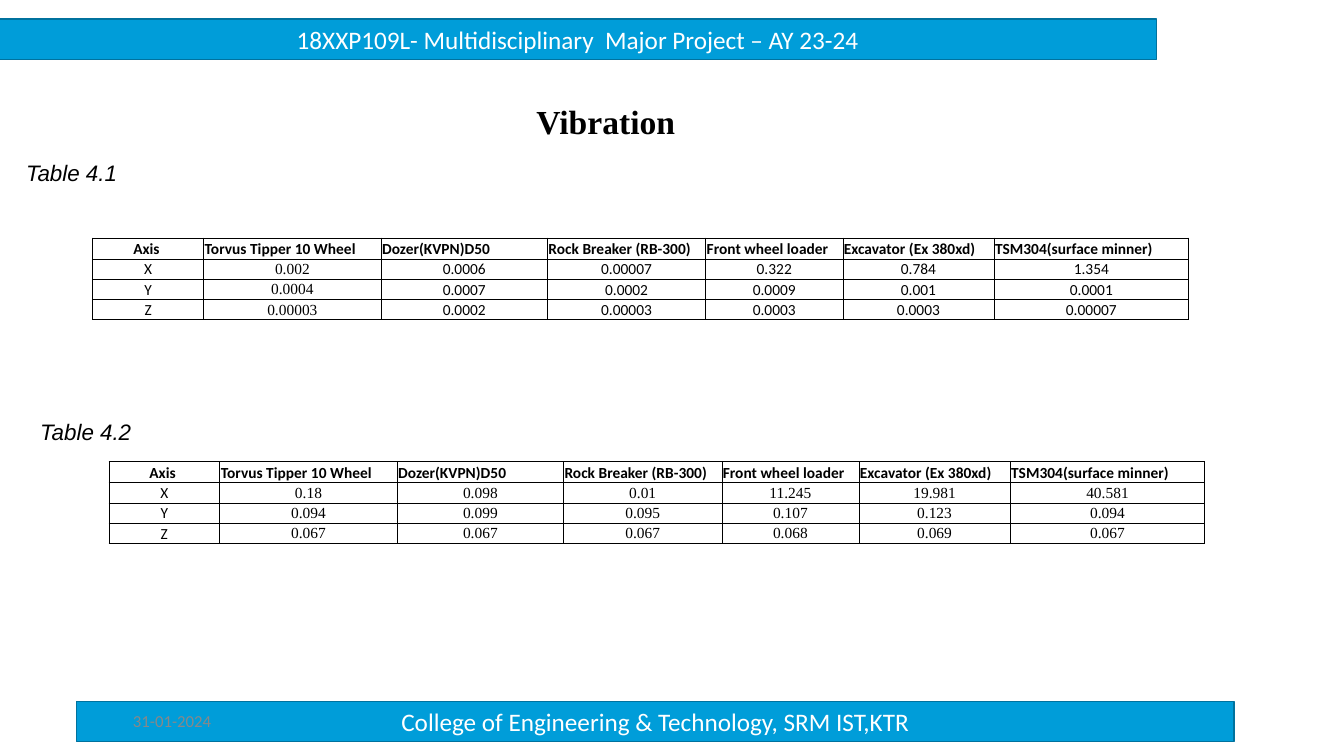
from lxml.etree import SubElement
from pptx import Presentation
from pptx.dml.color import RGBColor
from pptx.enum.shapes import MSO_SHAPE
from pptx.enum.text import MSO_ANCHOR, PP_ALIGN
from pptx.oxml.ns import qn
from pptx.util import Pt

PX = 9144  # 100 px to the inch
COLORS = {"band": "009DD9", "band_edge": "00729E", "white": "FFFFFF",
          "ink": "000000", "date": "888888"}
SERIF = "Times New Roman"
SANS = "Calibri"

MACHINES = ["Axis ", "Torvus Tipper 10 Wheel", "Dozer(KVPN)D50",
            "Rock Breaker (RB-300)", "Front wheel loader",
            "Excavator (Ex 380xd)", "TSM304(surface minner)"]
COLUMN_WIDTHS = [110, 176, 165, 157, 136, 150, 193]
ROW_HEIGHTS = [21, 20, 20, 20]
READINGS_1 = [
    ["X", "0.002", "0.0006", "0.00007", "0.322", "0.784", "1.354"],
    ["Y", "0.0004", "0.0007", "0.0002", "0.0009", "0.001", "0.0001"],
    ["Z", "0.00003", "0.0002", "0.00003", "0.0003", "0.0003", "0.00007"],
]
READINGS_2 = [
    ["X", "0.18", "0.098", "0.01", "11.245", "19.981", "40.581"],
    ["Y", "0.094", "0.099", "0.095", "0.107", "0.123", "0.094"],
    ["Z", "0.067", "0.067", "0.067", "0.068", "0.069", "0.067"],
]


def emu(box):
    return [length * PX for length in box]


def color(name):
    return RGBColor.from_string(COLORS[name])


def write(frame, words, size, face, ink="ink", align=PP_ALIGN.LEFT,
          bold=False, italic=False):
    frame.text = words
    line = frame.paragraphs[0]
    line.alignment = align
    font = line.runs[0].font
    font.size, font.name = Pt(size), face
    font.bold, font.italic = bold, italic
    font.color.rgb = color(ink)


def add_band(slide, box, words):
    band = slide.shapes.add_shape(MSO_SHAPE.RECTANGLE, *emu(box))
    band.shadow.inherit = False
    band.fill.solid()
    band.fill.fore_color.rgb = color("band")
    band.line.color.rgb = color("band_edge")
    band.line.width = Pt(1)
    band.text_frame.word_wrap = True
    band.text_frame.vertical_anchor = MSO_ANCHOR.TOP
    write(band.text_frame, words, 18, SANS, "white", PP_ALIGN.CENTER)


def add_title(slide, box, words):
    title = slide.shapes.title
    title.left, title.top, title.width, title.height = emu(box)
    title.text_frame.vertical_anchor = MSO_ANCHOR.TOP
    write(title.text_frame, words, 24, SERIF, bold=True)


def add_label(slide, box, words, size, face, ink="ink",
              anchor=MSO_ANCHOR.TOP, italic=False):
    frame = slide.shapes.add_textbox(*emu(box)).text_frame
    frame.word_wrap = True
    frame.vertical_anchor = anchor
    write(frame, words, size, face, ink, italic=italic)


def border_cell(cell):
    properties = cell._tc.get_or_add_tcPr()
    for side in ("a:lnL", "a:lnR", "a:lnT", "a:lnB"):
        edge = SubElement(properties, qn(side), w=str(Pt(0.5)))
        fill = SubElement(edge, qn("a:solidFill"))
        SubElement(fill, qn("a:srgbClr"), val=COLORS["ink"])


def add_readings(slide, left, top, readings, serif_columns):
    rows = [MACHINES] + readings
    box = left, top, sum(COLUMN_WIDTHS), sum(ROW_HEIGHTS)
    table = slide.shapes.add_table(len(rows), len(MACHINES), *emu(box)).table
    table.horz_banding = False
    for column, width in zip(table.columns, COLUMN_WIDTHS):
        column.width = width * PX
    for row, height in zip(table.rows, ROW_HEIGHTS):
        row.height = height * PX

    for r, values in enumerate(rows):
        for c, value in enumerate(values):
            cell = table.cell(r, c)
            border_cell(cell)
            cell.fill.background()
            cell.margin_left = cell.margin_right = cell.margin_top = PX
            cell.margin_bottom = 0
            header = r == 0
            cell.vertical_anchor = (MSO_ANCHOR.BOTTOM if header or c == 0
                                    else MSO_ANCHOR.MIDDLE)
            face = SERIF if not header and c in serif_columns else SANS
            align = PP_ALIGN.LEFT if header and c else PP_ALIGN.CENTER
            write(cell.text_frame, value, 11, face, align=align, bold=header)


def build_vibration_slide(deck):
    slide = deck.slides.add_slide(deck.slide_layouts[5])

    # Header and footer bands
    add_band(slide, (76, 696, 1148, 40),
             "College of Engineering & Technology, SRM IST,KTR")
    add_band(slide, (-1, 19, 1148, 40),
             "18XXP109L- Multidisciplinary  Major Project – AY 23-24")
    add_label(slide, (122, 695, 400, 40), "31-01-2024", 12, SANS, "date",
              MSO_ANCHOR.MIDDLE)

    # Tables: machine readings along each axis
    add_readings(slide, 92, 236, READINGS_1, serif_columns=[1])
    add_readings(slide, 108, 458, READINGS_2, serif_columns=range(1, 7))

    # Title and captions
    add_label(slide, (16, 153, 184, 37), "Table 4.1", 16, "Arial", italic=True)
    add_label(slide, (30, 410, 184, 37), "Table 4.2", 16, "Arial", italic=True)
    add_title(slide, (522, 95, 361, 50), "Vibration")


def main():
    deck = Presentation()
    deck.slide_width, deck.slide_height = emu((1333, 750))
    build_vibration_slide(deck)
    deck.save("out.pptx")


if __name__ == "__main__":
    main()
